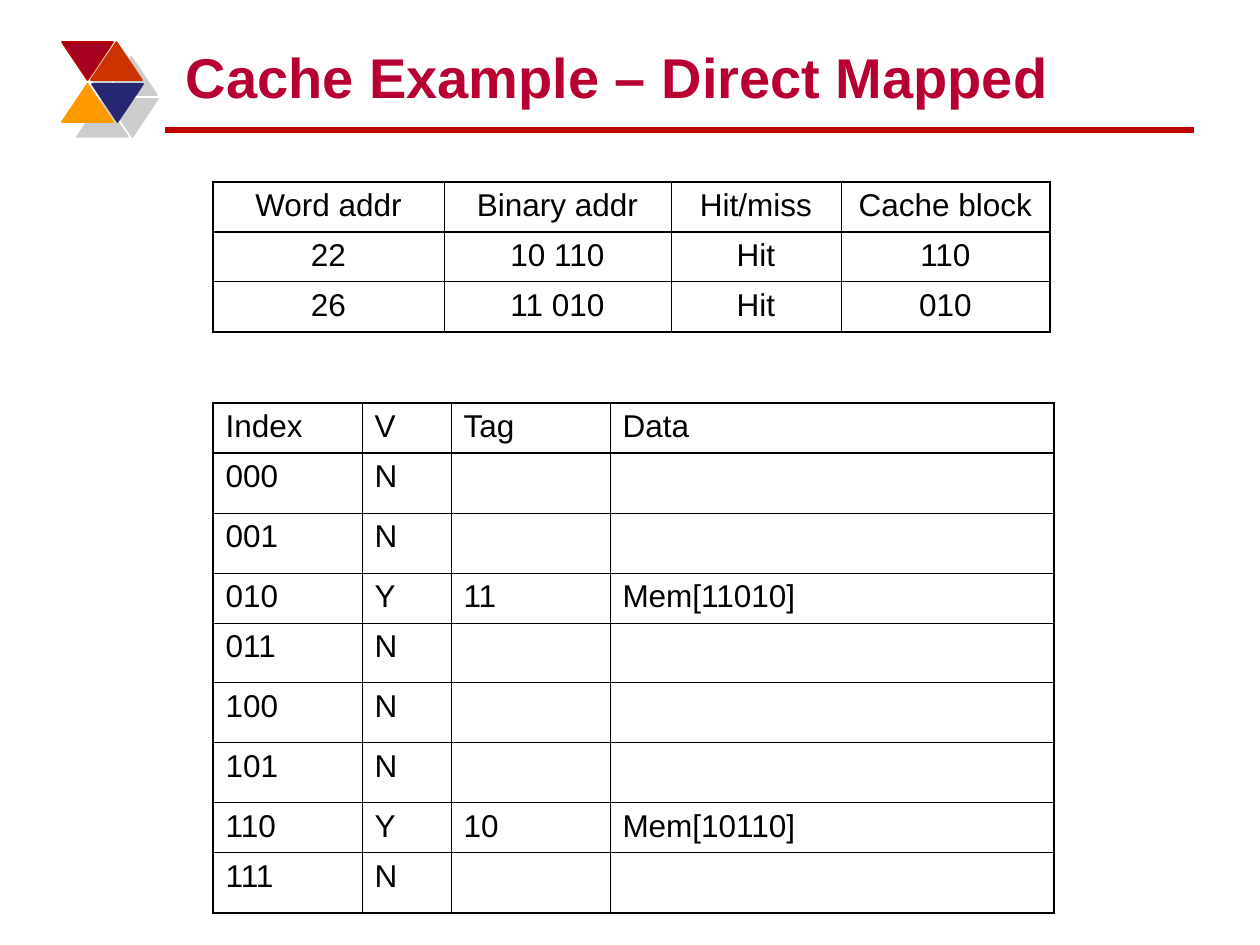
from lxml import etree
from pptx import Presentation
from pptx import util as u
from pptx.dml.color import RGBColor
from pptx.enum import shapes, text
from pptx.oxml.ns import qn

PX = 914400 // 126  # EMU per px
FONT = "Arial"
BLACK = RGBColor(0x00, 0x00, 0x00)
TITLE_RED = RGBColor(0xB7, 0x00, 0x31)
RULE_RED = RGBColor(0xC0, 0x00, 0x00)
CRIMSON = RGBColor(0xA5, 0x00, 0x21)
VERMILION = RGBColor(0xCC, 0x33, 0x00)
ORANGE = RGBColor(0xFF, 0x99, 0x00)
NAVY = RGBColor(0x26, 0x26, 0x73)

OUTER, HEADER, INNER = 1.08, 0.75, 0.45  # border widths in points
ROW = 50
EMPTY_ROW = 60

ACCESSES = [
    ["Word addr", "Binary addr", "Hit/miss", "Cache block"],
    ["22", "10 110", "Hit", "110"],
    ["26", "11 010", "Hit", "010"],
]
CACHED = {"010": ("11", "Mem[11010]"), "110": ("10", "Mem[10110]")}


def px(*lengths):
    return [u.Emu(length * PX) for length in lengths]


def cache_rows():
    rows = [["Index", "V", "Tag", "Data"]]
    for number in range(8):
        index = f"{number:03b}"
        valid = "Y" if index in CACHED else "N"
        rows.append([index, valid, *CACHED.get(index, ("", ""))])
    return rows


def set_font(paragraph, size, color, bold=False):
    font = paragraph.font
    font.name = FONT
    font.size = u.Pt(size)
    font.bold = bold
    font.color.rgb = color


def add_title(slide, wording):
    title = slide.shapes.title
    title.left, title.top, title.width, title.height = px(173, 31, 1008, 85)
    frame = title.text_frame
    frame.text = wording
    frame.vertical_anchor = text.MSO_ANCHOR.BOTTOM
    frame.auto_size = text.MSO_AUTO_SIZE.NONE
    frame.paragraphs[0].alignment = text.PP_ALIGN.LEFT
    set_font(frame.paragraphs[0], 32, TITLE_RED, bold=True)


def add_rule(slide, left, right, y):
    rule = slide.shapes.add_connector(shapes.MSO_CONNECTOR.STRAIGHT, *px(left, y, right, y))
    rule.line.color.rgb = RULE_RED
    rule.line.width = u.Pt(3)
    etree.SubElement(rule._element.spPr, qn("a:effectLst"))


def add_triangle(slide, left, top, fill, line, rotation):
    triangle = slide.shapes.add_shape(
        shapes.MSO_SHAPE.ISOSCELES_TRIANGLE, *px(left, top, 51, 38))
    triangle.rotation = rotation
    triangle.fill.solid()
    triangle.fill.fore_color.rgb = fill
    triangle.line.color.rgb = line
    triangle.line.width = u.Pt(1)
    # Soft grey shadow to the lower right
    triangle.shadow.inherit = False
    effects = triangle._element.spPr.find(qn("a:effectLst"))
    shadow = etree.SubElement(effects, qn("a:outerShdw"), dist=str(u.Pt(12.1)),
                              dir="2700000", algn="ctr", rotWithShape="0")
    color = etree.SubElement(shadow, qn("a:srgbClr"), val=str(BLACK))
    etree.SubElement(color, qn("a:alpha"), val="20000")


def set_borders(cell, left, right, top, bottom):
    properties = cell._tc.get_or_add_tcPr()
    for side, width in zip("LRTB", (left, right, top, bottom)):
        line = etree.SubElement(properties, qn(f"a:ln{side}"), w=str(u.Pt(width)))
        fill = etree.SubElement(line, qn("a:solidFill"))
        etree.SubElement(fill, qn("a:srgbClr"), val=str(BLACK))


def add_grid(slide, left, top, widths, rows, alignment, row_line):
    heights = [ROW if all(row) else EMPTY_ROW for row in rows]
    frame = slide.shapes.add_table(
        len(rows), len(widths), *px(left, top, sum(widths), sum(heights)))
    table = frame.table
    table.first_row = table.horz_banding = False
    for column, width in zip(table.columns, px(*widths)):
        column.width = width
    for row, height in zip(table.rows, px(*heights)):
        row.height = height

    # Border widths of every horizontal and vertical line, outside included
    horizontal = [OUTER, HEADER] + [row_line] * (len(rows) - 2) + [OUTER]
    vertical = [OUTER] + [INNER] * (len(widths) - 1) + [OUTER]
    for r, row in enumerate(rows):
        for c, wording in enumerate(row):
            cell = table.cell(r, c)
            set_borders(cell, *vertical[c:c + 2], *horizontal[r:r + 2])
            cell.fill.background()
            cell.text = wording
            paragraph = cell.text_frame.paragraphs[0]
            paragraph.alignment = alignment
            set_font(paragraph, 18, BLACK)


def main():
    presentation = Presentation()
    presentation.slide_width = u.Inches(10)
    presentation.slide_height = u.Inches(7.5)
    slide = presentation.slides.add_slide(presentation.slide_layouts[5])

    # Heading with its rule and triangle ornament
    add_rule(slide, 165, 1194, 130)
    add_triangle(slide, 62, 42, CRIMSON, RULE_RED, 180)
    add_triangle(slide, 91, 42, VERMILION, VERMILION, 0)
    add_triangle(slide, 62, 84, ORANGE, ORANGE, 0)
    add_triangle(slide, 92, 84, NAVY, NAVY, 180)
    add_title(slide, "Cache Example – Direct Mapped")

    # Cache contents, then the accesses above them
    add_grid(slide, 213, 403, [149, 89, 159, 444], cache_rows(),
             text.PP_ALIGN.LEFT, INNER)
    add_grid(slide, 213, 182, [231, 227, 170, 209], ACCESSES,
             text.PP_ALIGN.CENTER, HEADER)

    presentation.save("out.pptx")


if __name__ == "__main__":
    main()
